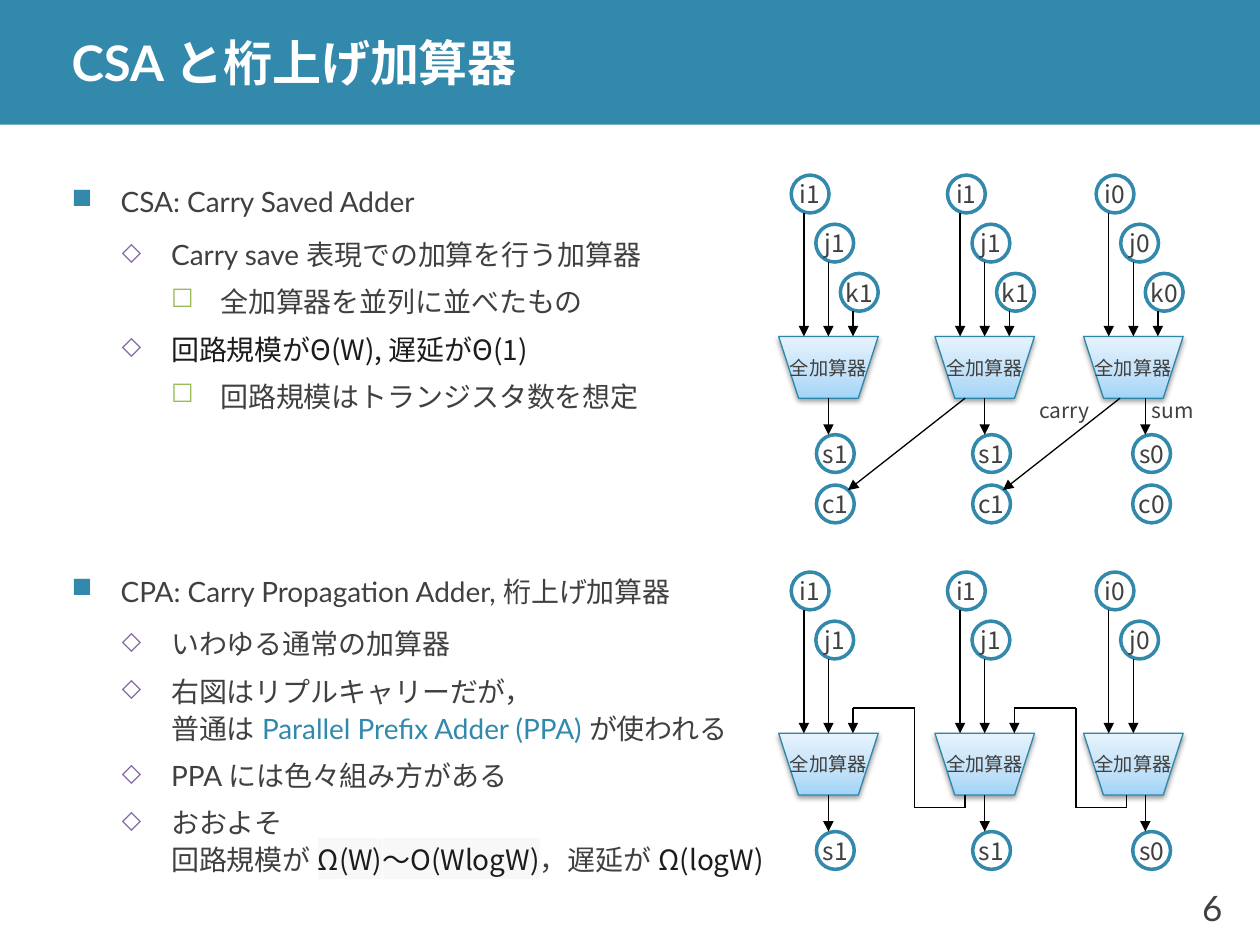
import copy

from pptx import Presentation
from pptx.dml.color import RGBColor
from pptx.enum import shapes, text
from pptx.oxml import parse_xml
from pptx.oxml.ns import nsdecls, qn
from pptx.util import Inches, Pt

COLORS = {"teal": "3289AC", "edge": "2E87AB", "ink": "404040", "dark": "1D1C1D",
          "white": "FFFFFF", "black": "000000", "purple": "8064A2", "green": "9BBB59",
          "mark": "F8F8F8", "low": "A2D4F7", "mid": "BFE0F8", "high": "E6F3FD"}
RGB = {name: RGBColor.from_string(value) for name, value in COLORS.items()}
LATO, NOTO = "Lato", "Noto Sans CJK JP"


def write(paragraph, content, size=16, font=LATO, color="ink", bold=False, mark=None):
    for number, part in enumerate(content.split("\n")):
        if number:
            paragraph.add_line_break()
        run = paragraph.add_run()
        run.text = part
        run.font.size = Pt(size)
        run.font.bold = bold
        run.font.color.rgb = RGB[color]
        run.font.name = font
        latin = run.font._element.find(qn("a:latin"))
        latin.addnext(parse_xml(f'<a:ea {nsdecls("a")} typeface="{font}"/>'))
        if mark:
            latin.addprevious(parse_xml(
                f'<a:highlight {nsdecls("a")}><a:srgbClr val="{COLORS[mark]}"/></a:highlight>'))


def draw_wire(x1, y1, x2, y2, arrow=True):
    wire = slide.shapes.add_connector(shapes.MSO_CONNECTOR.STRAIGHT,
                                      Inches(x1), Inches(y1), Inches(x2), Inches(y2))
    wire.line.color.rgb = RGB["black"]
    wire.line.width = Pt(0.75)
    if arrow:
        wire.line._get_or_add_ln().append(
            parse_xml(f'<a:tailEnd {nsdecls("a")} type="triangle"/>'))
    wire._element.spPr.append(parse_xml(f'<a:effectLst {nsdecls("a")}/>'))
    return wire


prs = Presentation()
prs.slide_width, prs.slide_height = Inches(10), Inches(7.5)
slide = prs.slides.add_slide(prs.slide_layouts[6])

band = slide.shapes.add_shape(shapes.MSO_SHAPE.RECTANGLE, 0, 0, Inches(10), Inches(0.99))
band.shadow.inherit = False
band.fill.solid()
band.fill.fore_color.rgb = RGB["teal"]
band.line.fill.background()

labels = [
    ("CSA と桁上げ加算器", 0.47, 0, 9.53, 0.99, text.PP_ALIGN.LEFT,
     dict(size=28, color="white", bold=True)),
    ("6", 9.13, 6.9, 0.67, 0.6, text.PP_ALIGN.RIGHT, dict(size=20)),
    ("sum", 9.04, 3.06, 0.59, 0.39, text.PP_ALIGN.LEFT, dict(size=12, font=NOTO)),
    ("carry", 8.15, 3.06, 0.59, 0.39, text.PP_ALIGN.LEFT, dict(size=12, font=NOTO)),
]
for content, left, top, width, height, align, style in labels:
    label = slide.shapes.add_textbox(Inches(left), Inches(top), Inches(width), Inches(height))
    frame = label.text_frame
    frame.word_wrap = width > 1
    frame.vertical_anchor = text.MSO_ANCHOR.MIDDLE
    frame.margin_top = frame.margin_bottom = 0
    if align == text.PP_ALIGN.LEFT:
        frame.margin_right = 0
    frame.paragraphs[0].alignment = align
    write(frame.paragraphs[0], content, **style)

formula = dict(font=NOTO, color="dark")
outline = [
    (0, 24, [("CSA: Carry Saved Adder", {})]),
    (1, 3, [("Carry save 表現での加算を行う加算器", {})]),
    (2, 3, [("全加算器を並列に並べたもの", {})]),
    (1, 3, [("回路規模がΘ(W), 遅延がΘ(1)", formula)]),
    (2, 3, [("回路規模はトランジスタ数を想定", {})]),
    (0, 87, [("CPA: Carry Propagation Adder, 桁上げ加算器", {})]),
    (1, 3, [("いわゆる通常の加算器", {})]),
    (1, 3, [("右図はリプルキャリーだが，\n普通は ", {}),
            ("Parallel Prefix Adder (PPA) ", dict(color="teal")), ("が使われる", {})]),
    (1, 3, [("PPA には色々組み方がある", {})]),
    (1, 3, [("おおよそ\n回路規模が ", {}), ("Ω(W)～O(WlogW)", dict(formula, mark="mark")),
            ("，遅延が ", {}), ("Ω(logW)", formula)]),
]
bullets = [("■", "teal", 100, 6, 0.39), ("◇", "purple", 90, 3, 0.79), ("☐", "green", 90, 3, 1.18)]
body = slide.shapes.add_textbox(Inches(0.47), Inches(1.39), Inches(9.06), Inches(5.51)).text_frame
body.word_wrap = True
for number, (level, before, runs) in enumerate(outline):
    item = body.add_paragraph() if number else body.paragraphs[0]
    symbol, color, percent, after, margin = bullets[level]
    item.level = level
    item.space_before, item.space_after = Pt(before), Pt(after)
    has_formula = any(style.get("font") == NOTO for _, style in runs)
    item.line_spacing = Pt(21.1) if has_formula else 1.1
    props = item._element.get_or_add_pPr()
    props.set("marL", str(Inches(margin)))
    props.set("indent", str(-Inches(0.39)))
    for xml in (f'<a:buClr {nsdecls("a")}><a:srgbClr val="{COLORS[color]}"/></a:buClr>',
                f'<a:buSzPct {nsdecls("a")} val="{percent * 1000}"/>',
                f'<a:buChar {nsdecls("a")} char="{symbol}"/>'):
        props.append(parse_xml(xml))
    for content, style in runs:
        write(item, content, **style)

adder_width = 0.79
columns = [(6.18, 1, 0.3), (7.42, 1, 0.3), (8.6, 0, 0.39)]
circuits = [(1.39, "ijk", "sc"), (4.54, "ij", "s")]
for top, inputs, outputs in circuits:
    adder_top, adder_bottom = top + 1.28, top + 1.77
    for left, digit, output_shift in columns:
        adder = slide.shapes.add_shape(shapes.MSO_SHAPE.FLOWCHART_MANUAL_OPERATION, Inches(left),
                                       Inches(adder_top), Inches(adder_width), Inches(0.49))
        adder.fill.gradient()
        adder.fill.gradient_angle = 90
        stop_list = adder._element.spPr.find(qn("a:gradFill")).find(qn("a:gsLst"))
        stop_list.append(copy.deepcopy(stop_list[-1]))
        for stop, position, color in zip(adder.fill.gradient_stops, (0, 0.35, 1),
                                         ("low", "mid", "high")):
            stop.position = position
            stop.color.rgb = RGB[color]
        adder.line.color.rgb = RGB["edge"]
        adder.line.width = Pt(0.75)
        adder.shadow.inherit = False
        adder._element.spPr.find(qn("a:effectLst")).append(parse_xml(
            f'<a:outerShdw {nsdecls("a")} blurRad="{Pt(3.1)}" dist="{Pt(1.6)}" dir="5400000" '
            'rotWithShape="0"><a:srgbClr val="000000"><a:alpha val="38000"/></a:srgbClr>'
            '</a:outerShdw>'))
        nodes = [(adder, "全加算器", 11)]

        input_step = adder_width / 2 - 0.2
        places = [(name, left + 0.1 + input_step * n, top + 0.39 * n)
                  for n, name in enumerate(inputs)]
        places += [(name, left + output_shift, top + 2.06 + 0.4 * n)
                   for n, name in enumerate(outputs)]
        for name, x, y in places:
            signal = slide.shapes.add_shape(shapes.MSO_SHAPE.OVAL, Inches(x), Inches(y),
                                            Inches(0.3), Inches(0.3))
            signal.shadow.inherit = False
            signal.fill.solid()
            signal.fill.fore_color.rgb = RGB["white"]
            signal.line.color.rgb = RGB["teal"]
            signal.line.width = Pt(2)
            nodes.append((signal, f"{name}{digit}", 14))
            if name in inputs:
                wire = draw_wire(x + 0.1, y + 0.3, x + 0.1, adder_top)
                if name == "j":
                    wire.end_connect(adder, 0)
            elif name == "s":
                sum_x = left + adder_width / 2 if digit else x + 0.1
                wire = draw_wire(sum_x, adder_bottom, sum_x, y)
                if digit:
                    wire.begin_connect(adder, 2)

        for node, content, size in nodes:
            frame = node.text_frame
            frame.word_wrap = False
            frame.vertical_anchor = text.MSO_ANCHOR.MIDDLE
            frame.paragraphs[0].alignment = text.PP_ALIGN.CENTER
            write(frame.paragraphs[0], content, size=size, font=NOTO)

for start, end in [(7.66, 6.73), (8.89, 7.96)]:
    draw_wire(start, 3.16, end, 3.89)

for start, end in [(7.66, 6.77), (8.94, 8.05)]:
    turn = start - 0.4
    route = [(start, 6.31), (start, 6.41), (turn, 6.41), (turn, 5.62), (end, 5.62), (end, 5.82)]
    for begin, finish in zip(route, route[1:]):
        draw_wire(*begin, *finish, arrow=finish == route[-1])

prs.save("out.pptx")
